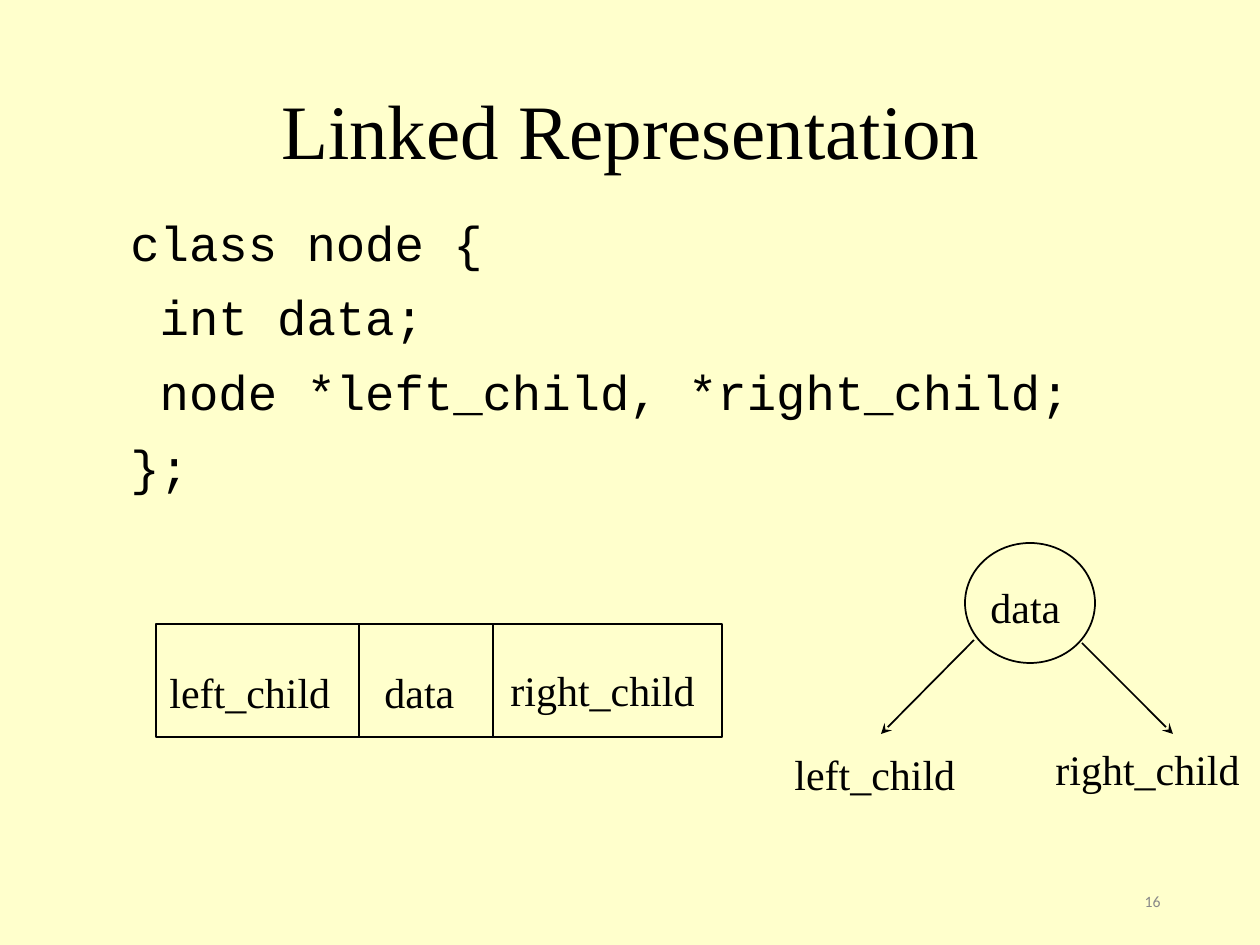
from dataclasses import dataclass

from lxml.etree import SubElement
from pptx import Presentation
from pptx.dml.color import RGBColor
from pptx.enum.shapes import MSO_CONNECTOR, MSO_SHAPE
from pptx.enum.text import MSO_ANCHOR, PP_ALIGN
from pptx.oxml.ns import qn
from pptx.util import Emu, Pt


@dataclass(frozen=True)
class Theme:
    background = RGBColor(0xFF, 0xFF, 0xCC)
    ink = RGBColor(0, 0, 0)
    muted = RGBColor(0x89, 0x89, 0x89)
    serif = "Times New Roman"
    mono = "Courier New"
    sans = "Calibri"
    title_size = 44
    code_size = 28
    label_size = 24
    number_size = 9
    line_width = 1
    code_gap = 9


THEME = Theme()
EMU_PER_PX = 914400 // 126
SLIDE_SIZE = (1260, 945)

TITLE = ("Linked Representation", (0, 50, 1262, 158))
CODE = (
    ["class node {", " int data;", " node *left_child, *right_child;", "};"],
    (118, 206, 1077, 317),
)
PAGE_NUMBER = ("16", (890, 876, 283, 50))

OUTLINES = [
    (MSO_SHAPE.RECTANGLE, (156, 624, 566, 113)),
    (MSO_SHAPE.OVAL, (965, 543, 130, 120)),
]
DIVIDERS = [((359, 625), (359, 737)), ((493, 625), (493, 736))]
CHILD_ARROWS = [((974, 640), (881, 734)), ((1082, 643), (1173, 734))]
LABEL_WIDTHS = {"data": 105, "left_child": 194, "right_child": 224}
LABEL_HEIGHT = 63
LABELS = [
    ("left_child", 157, 660),
    ("data", 372, 660),
    ("right_child", 498, 658),
    ("data", 978, 575),
    ("left_child", 782, 742),
    ("right_child", 1043, 737),
]


def px(*lengths):
    return [Emu(length * EMU_PER_PX) for length in lengths]


def style_text(text_frame, font, size, color=THEME.ink, align=PP_ALIGN.LEFT):
    for paragraph in text_frame.paragraphs:
        paragraph.alignment = align
        for run in paragraph.runs:
            run.font.name = font
            run.font.size = Pt(size)
            run.font.color.rgb = color


def add_text(slide, text, box, font, size, wrap=True, **style):
    text_frame = slide.shapes.add_textbox(*px(*box)).text_frame
    text_frame.word_wrap = wrap
    text_frame.text = text
    style_text(text_frame, font, size, **style)
    return text_frame


def set_line(line):
    line.color.rgb = THEME.ink
    line.width = Pt(THEME.line_width)


def add_outline(slide, kind, box):
    shape = slide.shapes.add_shape(kind, *px(*box))
    shape.shadow.inherit = False
    shape.fill.background()
    set_line(shape.line)


def add_line(slide, start, end, arrow=False):
    connector = slide.shapes.add_connector(MSO_CONNECTOR.STRAIGHT, *px(*start, *end))
    set_line(connector.line)
    if arrow:
        SubElement(connector.line._get_or_add_ln(), qn("a:tailEnd"), type="stealth")
    SubElement(connector._element.spPr, qn("a:effectLst"))


def add_title(slide):
    text, box = TITLE
    title = slide.shapes.title
    title.left, title.top, title.width, title.height = px(*box)
    title.text_frame.text = text
    title.text_frame.vertical_anchor = MSO_ANCHOR.MIDDLE
    style_text(title.text_frame, THEME.serif, THEME.title_size, align=PP_ALIGN.CENTER)


def add_code(slide):
    lines, box = CODE
    text_frame = add_text(slide, "\n".join(lines), box, THEME.mono, THEME.code_size)
    for paragraph in text_frame.paragraphs[1:]:
        paragraph.space_before = Pt(THEME.code_gap)


def main():
    presentation = Presentation()
    presentation.slide_width, presentation.slide_height = px(*SLIDE_SIZE)
    slide = presentation.slides.add_slide(presentation.slide_layouts[5])
    slide.background.fill.solid()
    slide.background.fill.fore_color.rgb = THEME.background

    add_title(slide)
    add_code(slide)
    for kind, box in OUTLINES:
        add_outline(slide, kind, box)
    for start, end in DIVIDERS:
        add_line(slide, start, end)
    for start, end in CHILD_ARROWS:
        add_line(slide, start, end, arrow=True)
    for text, left, top in LABELS:
        box = (left, top, LABEL_WIDTHS[text], LABEL_HEIGHT)
        add_text(slide, text, box, THEME.serif, THEME.label_size, wrap=False)
    page_number = add_text(slide, *PAGE_NUMBER, THEME.sans, THEME.number_size,
                           color=THEME.muted, align=PP_ALIGN.RIGHT)
    page_number.vertical_anchor = MSO_ANCHOR.MIDDLE

    presentation.save("out.pptx")


if __name__ == "__main__":
    main()
